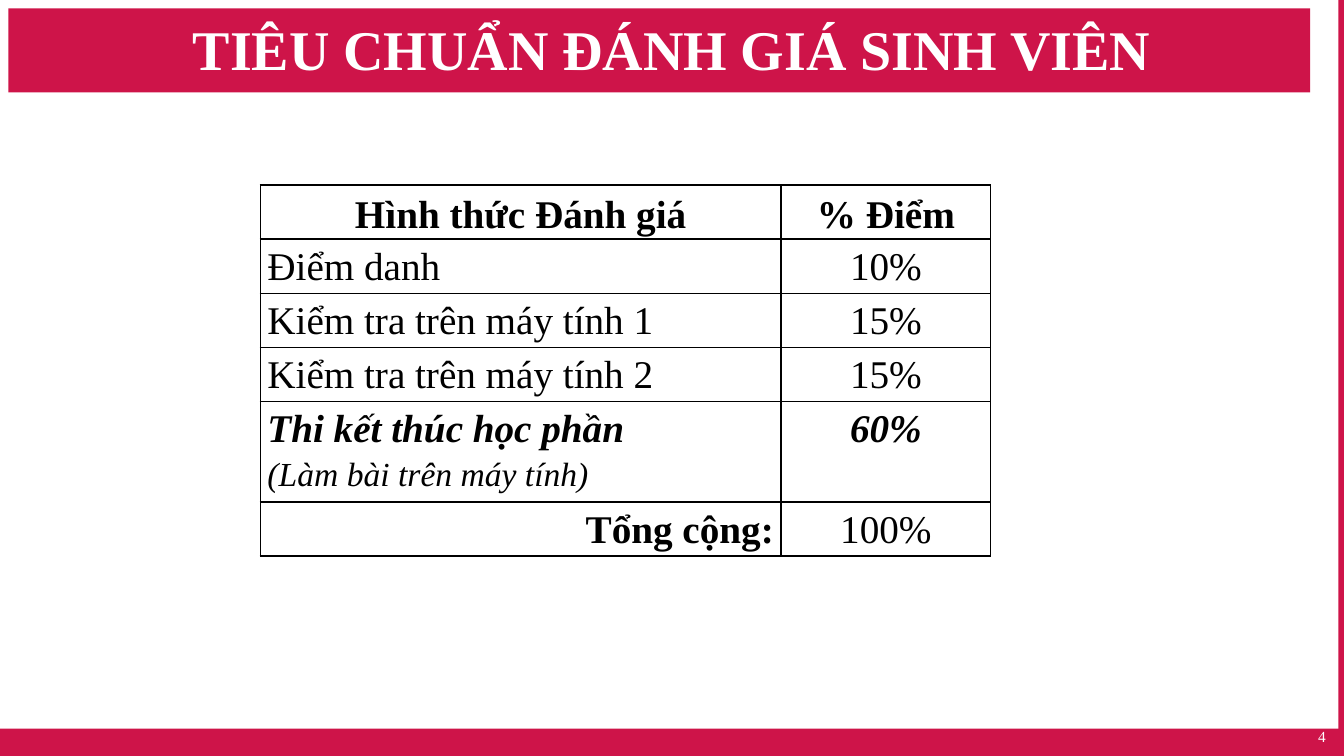
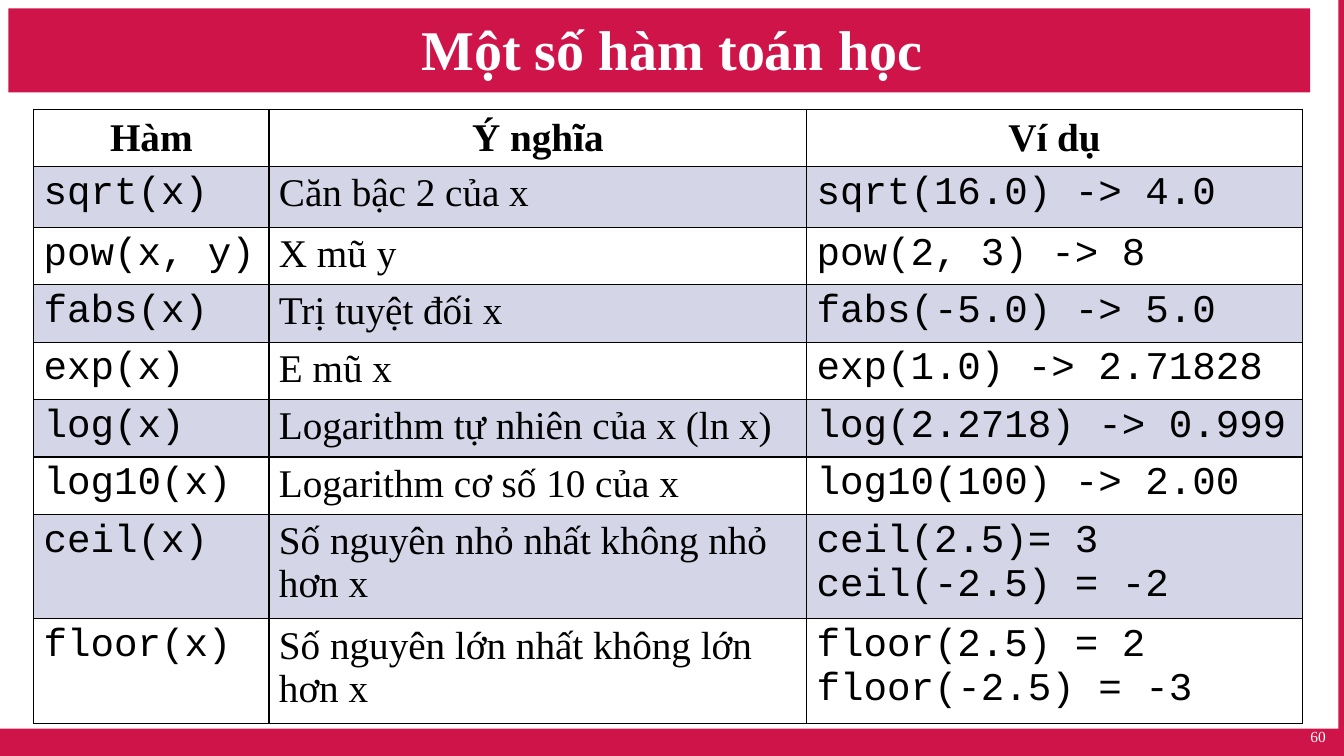
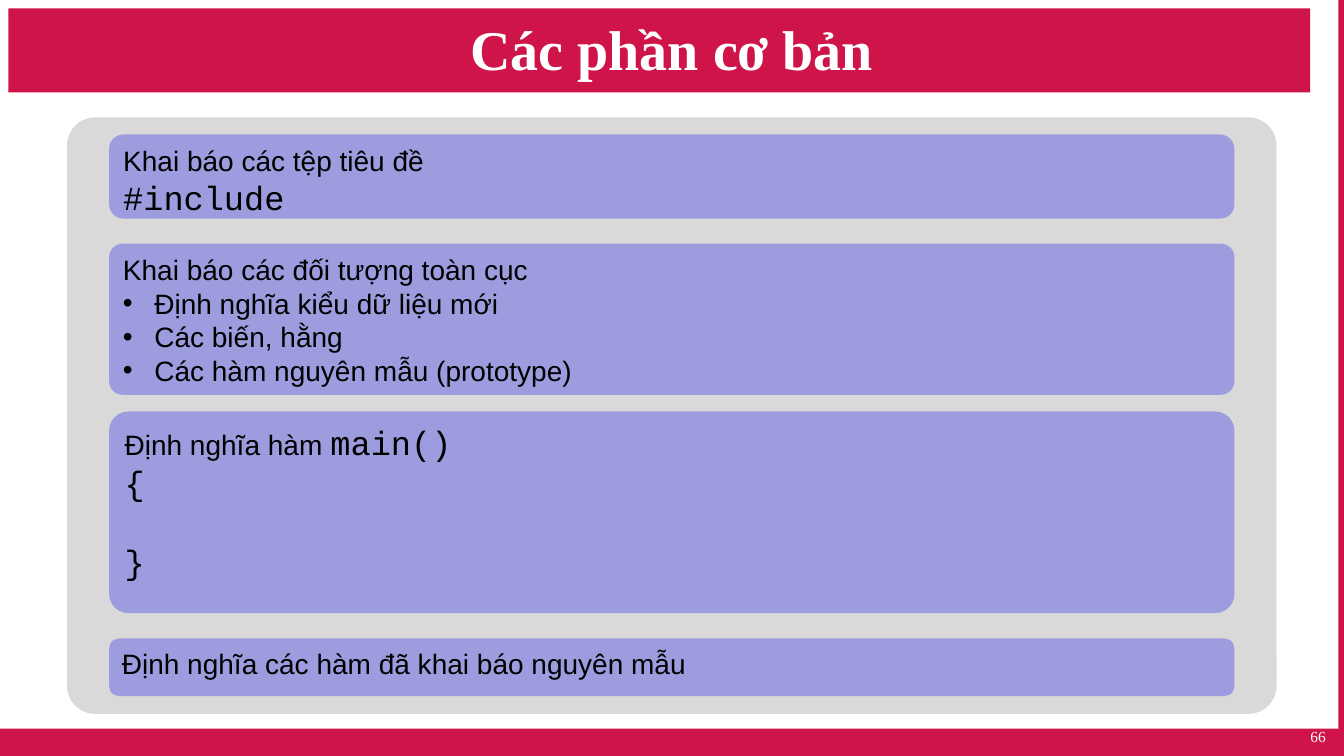
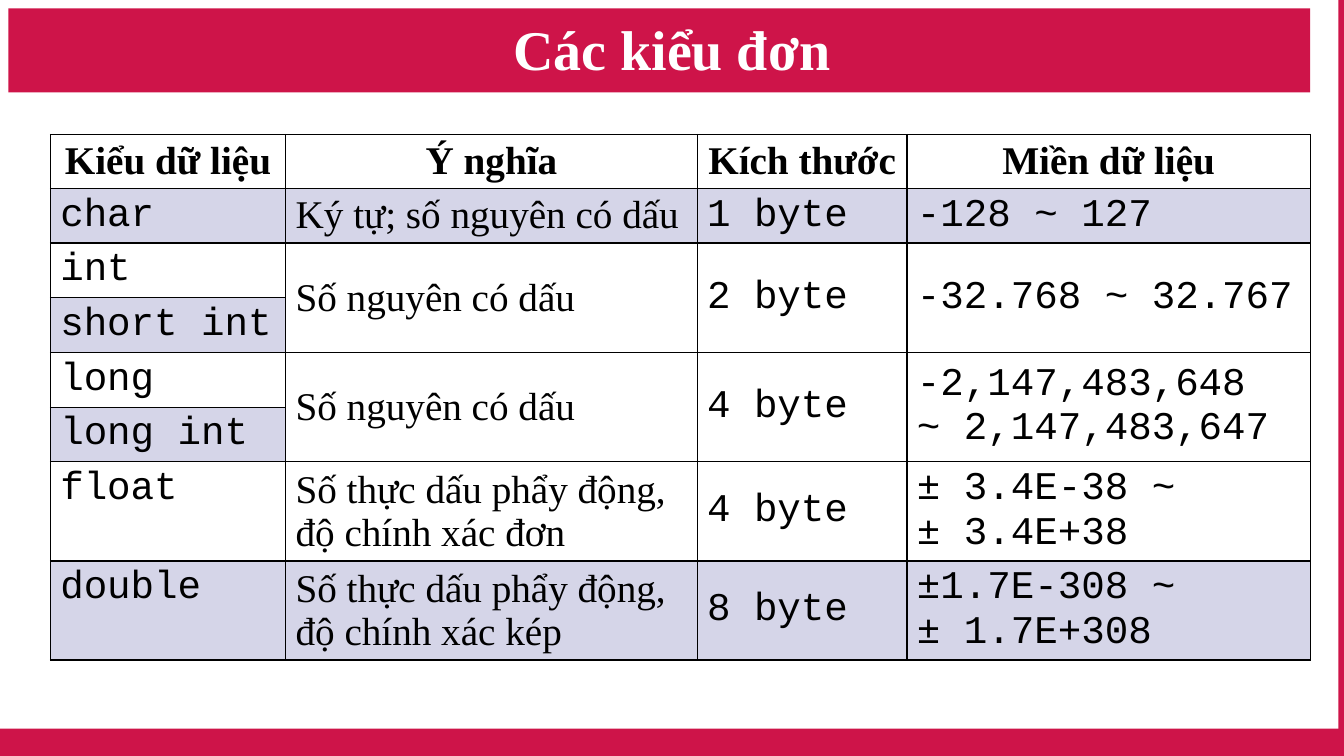
from lxml import etree
from pptx import Presentation
from pptx import util as u
from pptx.dml.color import RGBColor
from pptx.enum import shapes, text
from pptx.oxml import ns

COLOURS = {"brand": "CE1449", "white": "FFFFFF", "ink": "000000",
           "stripe": "D5D5E8", "panel": "D9D9D9", "block": "9C9CDF"}
SERIF, SANS, CODE = "Times New Roman", "Arial", "Courier New"
LEFT, CENTER, RIGHT = text.PP_ALIGN.LEFT, text.PP_ALIGN.CENTER, text.PP_ALIGN.RIGHT
TOP, MIDDLE = text.MSO_ANCHOR.TOP, text.MSO_ANCHOR.MIDDLE


def write(frame, words, size=28, font=SERIF, colour="ink", bold=False, italic=False,
          align=LEFT, spacing=1.0, before=0, bullet=False, same_line=False):
    for line in words.split("\n"):
        if same_line or not frame.text:
            para = frame.paragraphs[-1]
        else:
            para = frame.add_paragraph()
        para.alignment = align
        para.line_spacing = spacing
        para.space_before = u.Pt(before)
        if bullet:
            properties = para._p.get_or_add_pPr()
            properties.set("marL", str(u.Cm(0.79)))
            properties.set("indent", str(u.Cm(-0.79)))
            etree.SubElement(properties, ns.qn("a:buFont")).set("typeface", SANS)
            etree.SubElement(properties, ns.qn("a:buChar")).set("char", "•")
        span = para.add_run()
        span.text = line
        span.font.size = u.Pt(size)
        span.font.name = font
        span.font.bold = bold
        span.font.italic = italic
        span.font.color.rgb = RGBColor.from_string(COLOURS[colour])


def draw_table(page, rows, left, top, widths, heights, fonts, aligns=(LEFT,) * 4,
               anchors=(TOP,) * 4, margins=(0.25, 0.13), spacing=1.0, striped=True):
    table = page.shapes.add_table(len(rows), len(widths), u.Cm(left), u.Cm(top),
                                  u.Cm(sum(widths)), u.Cm(sum(heights))).table
    table.first_row = table.horz_banding = False
    for column, width in zip(table.columns, widths):
        column.width = u.Cm(width)
    for r, (row, height) in enumerate(zip(rows, heights)):
        table.rows[r].height = u.Cm(height)
        for c, words in enumerate(row):
            cell = table.cell(r, c)
            cell.margin_left = cell.margin_right = u.Cm(margins[0])
            cell.margin_top = cell.margin_bottom = u.Cm(margins[1])
            cell.vertical_anchor = anchors[c] if r else MIDDLE
            if striped and r % 2:
                cell.fill.solid()
                cell.fill.fore_color.rgb = RGBColor.from_string(COLOURS["stripe"])
            else:
                cell.fill.background()
            for position, side in enumerate(("lnL", "lnR", "lnT", "lnB")):
                border = etree.Element(ns.qn("a:" + side), w=str(u.Pt(1)))
                solid = etree.SubElement(border, ns.qn("a:solidFill"))
                etree.SubElement(solid, ns.qn("a:srgbClr"), val=COLOURS["ink"])
                cell._tc.get_or_add_tcPr().insert(position, border)
            if words:
                write(cell.text_frame, words, font=fonts[c] if r else SERIF, bold=r == 0,
                      align=aligns[c] if r else CENTER, spacing=spacing)
    return table


deck = Presentation()
deck.slide_width, deck.slide_height = u.Cm(33.87), u.Cm(19.05)
layout = deck.slide_layouts[5]
for holder in list(layout.placeholders)[1:]:
    layout.shapes.element.remove(holder.element)
layout_title = layout.placeholders[0]
layout_title.left, layout_title.top = u.Cm(1.69), u.Cm(0.42)
layout_title.width, layout_title.height = u.Cm(30.48), u.Cm(1.59)

pages = []
for heading, number in (("TIÊU CHUẨN ĐÁNH GIÁ SINH VIÊN", "4"), ("Một số hàm toán học", "60"),
                        ("Các phần cơ bản", "66"), ("Các kiểu đơn", "")):
    page = deck.slides.add_slide(layout)
    pages.append(page)
    title = page.shapes.title.text_frame
    title.auto_size = text.MSO_AUTO_SIZE.NONE
    title.vertical_anchor = MIDDLE
    write(title, heading, size=40, colour="white", bold=True, align=CENTER)
    if number:
        box = page.shapes.add_textbox(u.Cm(25.76), u.Cm(18.2), u.Cm(7.9), u.Cm(0.65))
        box.text_frame.word_wrap = True
        write(box.text_frame, number, size=11, colour="white", align=RIGHT)

grading, functions, structure, types = pages

for position, band_area in enumerate(((0.21, 0.21, 32.81, 2.12), (0, 18.36, 33.87, 0.69),
                                      (33.73, 0, 0.14, 19.05))):
    band = grading.shapes.add_shape(shapes.MSO_SHAPE.RECTANGLE, *map(u.Cm, band_area))
    band.shadow.inherit = False
    band.fill.solid()
    band.fill.fore_color.rgb = RGBColor.from_string(COLOURS["brand"])
    band.line.fill.background()
    layout.shapes.element.insert(2 + position, band.element)

grades = draw_table(grading, [
    ("Hình thức Đánh giá", "% Điểm"),
    ("Điểm danh", "10%"),
    ("Kiểm tra trên máy tính 1", "15%"),
    ("Kiểm tra trên máy tính 2", "15%"),
    ("", ""),
    ("", "100%"),
], 6.56, 4.66, (13.12, 5.29), (1.25, 1.25, 1.25, 1.25, 2.33, 1.25), (SERIF, SERIF),
    aligns=(LEFT, CENTER), margins=(0.18, 0), spacing=1.15, striped=False)
exam = grades.cell(4, 0).text_frame
write(exam, "Thi kết thúc học phần", bold=True, italic=True, spacing=1.15)
write(exam, "(Làm bài trên máy tính)", size=24, italic=True, spacing=1.15)
write(grades.cell(4, 1).text_frame, "60%", bold=True, italic=True, align=CENTER, spacing=1.15)
write(grades.cell(5, 0).text_frame, "Tổng cộng:", bold=True, align=RIGHT, spacing=1.15)

draw_table(functions, [
    ("Hàm", "Ý nghĩa", "Ví dụ"),
    ("sqrt(x)", "Căn bậc 2 của x", "sqrt(16.0) -> 4.0"),
    ("pow(x, y)", "X mũ y", "pow(2, 3) -> 8"),
    ("fabs(x)", "Trị tuyệt đối x", "fabs(-5.0) -> 5.0"),
    ("exp(x)", "E mũ x", "exp(1.0) -> 2.71828"),
    ("log(x)", "Logarithm tự nhiên của x (ln x)", "log(2.2718) -> 0.999"),
    ("log10(x)", "Logarithm cơ số 10 của x", "log10(100) -> 2.00"),
    ("ceil(x)", "Số nguyên nhỏ nhất không nhỏ hơn x", "ceil(2.5)= 3\nceil(-2.5) = -2"),
    ("floor(x)", "Số nguyên lớn nhất không lớn hơn x", "floor(2.5) = 2\nfloor(-2.5) = -3"),
], 0.85, 2.75, (5.93, 13.55, 12.49), (1.34, 1.53) + (1.37,) * 5 + (2.49,) * 2,
    (CODE, SERIF, CODE))

blocks = []
for colour, corner, area in (("panel", 0.047, (1.69, 2.96, 30.48, 15.03)),
                             ("block", 0.17, (2.75, 3.39, 28.36, 2.12)),
                             ("block", 0.09, (2.75, 6.14, 28.36, 3.81)),
                             ("block", 0.095, (2.75, 10.37, 28.36, 5.08)),
                             ("block", 0.17, (2.75, 16.09, 28.36, 1.45))):
    block = structure.shapes.add_shape(shapes.MSO_SHAPE.ROUNDED_RECTANGLE, *map(u.Cm, area))
    block.shadow.inherit = False
    block.adjustments[0] = corner
    block.fill.solid()
    block.fill.fore_color.rgb = RGBColor.from_string(COLOURS[colour])
    block.line.fill.background()
    block.text_frame.word_wrap = True
    block.text_frame.vertical_anchor = TOP
    blocks.append(block.text_frame)

panel, headers, globals_block, main_block, definitions = blocks
for frame, words in ((headers, "Khai báo các tệp tiêu đề"),
                     (globals_block, "Khai báo các đối tượng toàn cục"),
                     (main_block, "Định nghĩa hàm "),
                     (definitions, "Định nghĩa các hàm đã khai báo nguyên mẫu")):
    write(frame, words, size=20, font=SANS)
write(headers, "#include", size=24, font=CODE)
write(globals_block, "Định nghĩa kiểu dữ liệu mới\nCác biến, hằng\nCác hàm nguyên mẫu (prototype)",
      size=20, font=SANS, bullet=True)
write(main_block, "main()", size=24, font=CODE, same_line=True)
write(main_block, "{", size=24, font=CODE)
write(main_block, "}", size=24, font=CODE, before=27)

kinds = draw_table(types, [
    ("Kiểu dữ liệu", "Ý nghĩa", "Kích thước", "Miền dữ liệu"),
    ("char", "Ký tự; số nguyên có dấu", "1 byte", "-128 ~ 127"),
    ("int", "Số nguyên có dấu", "2 byte", "-32.768 ~ 32.767"),
    ("short int", "", "", ""),
    ("long", "Số nguyên có dấu", "4 byte", "-2,147,483,648\n~ 2,147,483,647"),
    ("long int", "", "", ""),
    ("float", "Số thực dấu phẩy động, độ chính xác đơn", "4 byte", "± 3.4E-38 ~\n± 3.4E+38"),
    ("double", "Số thực dấu phẩy động, độ chính xác kép", "8 byte", "±1.7E-308 ~\n± 1.7E+308"),
], 1.27, 3.39, (5.93, 10.37, 5.29, 10.16), (1.35,) + (1.37,) * 5 + (2.49,) * 2,
    (CODE, SERIF, CODE, CODE), anchors=(TOP, MIDDLE, MIDDLE, MIDDLE))
for first in (2, 4):
    for column in (1, 2, 3):
        kinds.cell(first, column).merge(kinds.cell(first + 1, column))

deck.save("out.pptx")
